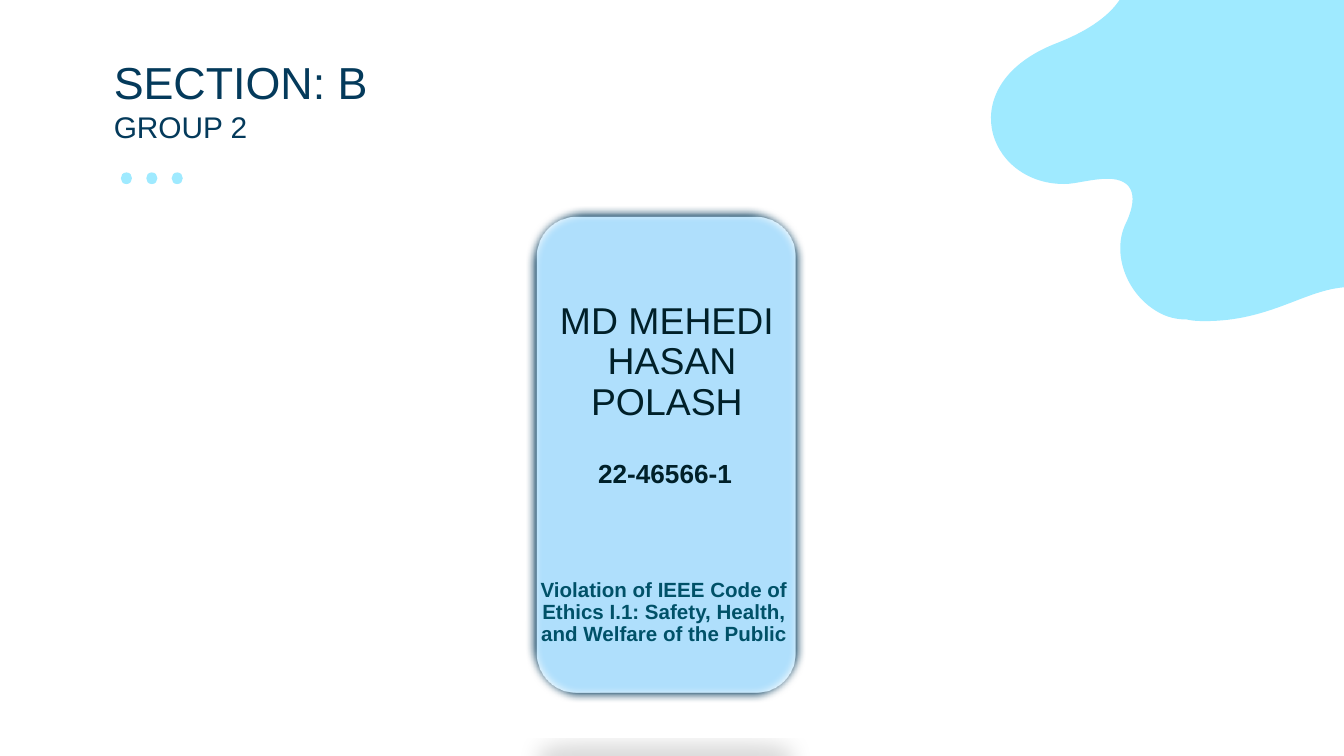
from dataclasses import dataclass

from lxml import etree
from pptx import Presentation, util as u
from pptx.dml.color import RGBColor
from pptx.enum import shapes as sh, text as tx
from pptx.oxml import ns


@dataclass(frozen=True)
class Theme:
    """Hold the colours, font and type sizes."""
    navy: str = "043A5B"
    aqua: str = "9FEAFF"
    sky: str = "AFDFFC"
    ink: str = "002029"
    teal: str = "005168"
    font: str = "Arial"
    head: int = 24
    sub: int = 16
    name: int = 20
    code: int = 14
    note: int = 11


T = Theme()
BLOB = (
    ((3.2, 0),),
    ((3.2, 0), (4.01, 1.14), (2.01, 1.93)),
    ((0, 2.69), (0.66, 4.6), (2.13, 4.6)),
    ((2.26, 4.6), (2.39, 4.57), (2.51, 4.55)),
    ((2.69, 4.52), (2.82, 4.5), (2.95, 4.5)),
    ((3.48, 4.5), (3.53, 4.88), (3.28, 5.38)),
    ((3.05, 5.89), (3.28, 6.65), (3.89, 7.01)),
    ((4.06, 7.11), (4.24, 7.16), (4.45, 7.16)),
    ((4.57, 7.19), (4.7, 7.19), (4.8, 7.19)),
    ((6.02, 7.19), (6.68, 6.6), (7.44, 6.55)),
    ((7.47, 6.55), (7.52, 6.53), (7.54, 6.53)),
    ((7.8, 6.53), (8.08, 6.6), (8.41, 6.81)),
    ((8.41, 0),),
)
DOT = (
    ((0.14, 0),),
    ((0.28, 0), (0.28, 0.22), (0.14, 0.22)),
    ((0, 0.22), (0, 0), (0.14, 0)),
)


def paint(shape, hue):
    """Give a shape a flat fill without line or shadow."""
    shape.shadow.inherit = False
    shape.fill.solid()
    shape.fill.fore_color.rgb = RGBColor.from_string(hue)
    shape.line.fill.background()


def style(run, size, hue, bold=False):
    """Set the font of a run."""
    font = run.font
    font.name, font.size, font.bold = T.font, u.Pt(size), bold
    font.color.rgb = RGBColor.from_string(hue)


def curve(shapes, x, y, w, h, steps, hue):
    """Draw a closed outline of lines and cubic curves in a box."""
    pen = shapes.build_freeform(u.Cm(x), u.Cm(y))
    pen.add_line_segments([(u.Cm(x + w), u.Cm(y + h))])
    shape = pen.convert_to_shape()
    trail = next(shape._element.iter(ns.qn("a:path")))
    for node in list(trail):
        trail.remove(node)
    for i, pts in enumerate(steps):
        tag = "a:cubicBezTo" if len(pts) == 3 else "a:lnTo" if i else "a:moveTo"
        move = etree.SubElement(trail, ns.qn(tag))
        for px, py in pts:
            etree.SubElement(move, ns.qn("a:pt"),
                             x=str(u.Cm(px)), y=str(u.Cm(py)))
    etree.SubElement(trail, ns.qn("a:close"))
    paint(shape, hue)


def fit(frame, anchor, top=0.25):
    """Set wrapping, anchor and insets of a text frame."""
    frame.word_wrap = True
    frame.auto_size = tx.MSO_AUTO_SIZE.NONE
    frame.vertical_anchor = anchor
    frame.margin_left = frame.margin_right = frame.margin_bottom = u.Cm(0.25)
    frame.margin_top = u.Cm(top)


def header(slide, x, y, w, h):
    """Place the title and the row of dots below it."""
    title = slide.shapes.title
    title.left, title.top, title.width, title.height = map(u.Cm, (x, y, w, h))
    frame = title.text_frame
    frame.text = "SECTION: B\vGROUP 2"
    fit(frame, tx.MSO_ANCHOR.TOP)
    para = frame.paragraphs[0]
    para.alignment = tx.PP_ALIGN.LEFT
    for run, size in zip(para.runs, (T.head, T.sub)):
        style(run, size, T.navy)
    dots = slide.shapes.add_group_shape()
    for i in range(3):
        curve(dots.shapes, x + 0.35 + i * 0.48, y + h + 0.13, 0.28, 0.22,
              DOT, T.aqua)


def label(slide, box, words, size, hue, bold=True,
          anchor=tx.MSO_ANCHOR.TOP, top=0.25):
    """Add a centred text box."""
    frame = slide.shapes.add_textbox(*map(u.Cm, box)).text_frame
    fit(frame, anchor, top)
    frame.text = words
    for para in frame.paragraphs:
        para.alignment = tx.PP_ALIGN.CENTER
        para.line_spacing = 0.9
        for run in para.runs:
            style(run, size, hue, bold)


def glow(shape):
    """Add a shadow cast below and a soft edge."""
    shape.shadow.inherit = False
    fx = shape._element.spPr.find(ns.qn("a:effectLst"))
    cast = etree.SubElement(
        fx, ns.qn("a:outerShdw"), blurRad=str(u.Pt(12)), dist=str(u.Pt(25)),
        dir="5400000", sx="90000", sy="-19000", rotWithShape="0")
    tint = etree.SubElement(cast, ns.qn("a:srgbClr"), val="000000")
    etree.SubElement(tint, ns.qn("a:alpha"), val="15000")
    etree.SubElement(fx, ns.qn("a:softEdge"), rad=str(u.Pt(5)))


def card(slide, x, y, w, h):
    """Build the member card with name, number and topic."""
    plate = slide.shapes.add_shape(
        sh.MSO_SHAPE.ROUNDED_RECTANGLE, *map(u.Cm, (x, y, w, h)))
    paint(plate, T.sky)
    plate.line.color.rgb = RGBColor.from_string(T.navy)
    plate.line.width = u.Pt(6)
    glow(plate)
    label(slide, (x - 0.23, y + 1.72, w + 0.53, 2.29),
          "MD MEHEDI\n HASAN\nPOLASH", T.name, T.ink, False,
          tx.MSO_ANCHOR.MIDDLE)
    label(slide, (x - 0.29, y + 4.48, w + 0.58, 1.42),
          "22-46566-1", T.code, T.ink)
    label(slide, (x - 0.17, y + 5.61, w + 0.3, 3.1),
          "Violation of IEEE Code of Ethics I.1: Safety, Health, "
          "and Welfare of the Public", T.note, T.teal, top=1.35)


def main():
    """Build and save the slide."""
    deck = Presentation()
    deck.slide_width, deck.slide_height = u.Cm(25.4), u.Cm(14.29)
    slide = deck.slides.add_slide(deck.slide_layouts[5])
    curve(slide.shapes, 17.98, -1.12, 8.41, 7.19, BLOB, T.aqua)
    header(slide, 1.9, 0.79, 12.8, 2.34)
    card(slide, 10.03, 3.99, 5.08, 9.19)
    deck.save("out.pptx")


if __name__ == "__main__":
    main()
